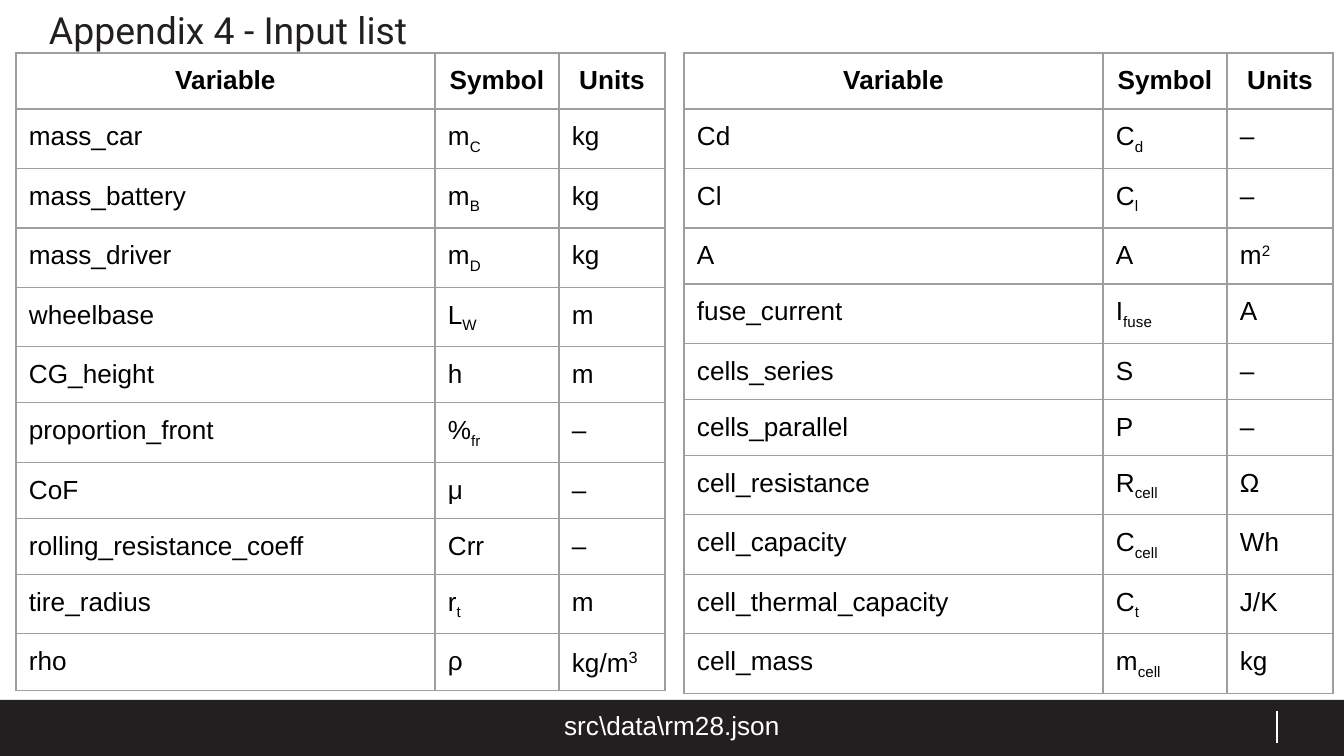
from lxml.etree import SubElement
from pptx import Presentation
from pptx.dml.color import RGBColor
from pptx.enum.shapes import MSO_CONNECTOR, MSO_SHAPE
from pptx.enum.text import MSO_ANCHOR, MSO_AUTO_SIZE, PP_ALIGN
from pptx.oxml.ns import qn
from pptx.util import Emu, Pt

SLIDE_WIDTH, SLIDE_HEIGHT = 1344, 756
EMU_PER_PX = 9144000 / SLIDE_WIDTH

BLACK = RGBColor(0x00, 0x00, 0x00)
WHITE = RGBColor(0xFF, 0xFF, 0xFF)
CHARCOAL = RGBColor(0x23, 0x1F, 0x20)
GRID_GRAY = RGBColor(0x9E, 0x9E, 0x9E)

HEADINGS = ("Variable", "Symbol", "Units")
COLUMN_WIDTHS = (419, 124, 106)
ROW_HEIGHT = 56
TABLE_TOP = 53
CELL_MARGIN = 13

# In symbols "_" starts a subscript; in units "^" starts a superscript.
VEHICLE_INPUTS = (
    ("mass_car", "m_C", "kg"),
    ("mass_battery", "m_B", "kg"),
    ("mass_driver", "m_D", "kg"),
    ("wheelbase", "L_W", "m"),
    ("CG_height", "h", "m"),
    ("proportion_front", "%_fr", "–"),
    ("CoF", "μ", "–"),
    ("rolling_resistance_coeff", "Crr", "–"),
    ("tire_radius", "r_t", "m"),
    ("rho", "ρ", "kg/m^3"),
)
AERO_AND_CELL_INPUTS = (
    ("Cd", "C_d", "–"),
    ("Cl", "C_l", "–"),
    ("A", "A", "m^2"),
    ("fuse_current", "I_fuse", "A"),
    ("cells_series", "S", "–"),
    ("cells_parallel", "P", "–"),
    ("cell_resistance", "R_cell", "Ω"),
    ("cell_capacity", "C_cell", "Wh"),
    ("cell_thermal_capacity", "C_t", "J/K"),
    ("cell_mass", "m_cell", "kg"),
)


def px(length):
    return Emu(round(length * EMU_PER_PX))


def set_margins(box, margin):
    box.margin_left = box.margin_right = px(margin)
    box.margin_top = box.margin_bottom = px(margin)


def style_run(run, size, color, font="Arial", bold=False):
    run.font.name = font
    run.font.size = Pt(size)
    run.font.bold = bold
    run.font.color.rgb = color


def add_title(slide, text):
    title = slide.shapes.title
    title.left, title.top, title.width, title.height = map(px, (40, 0, 649, 62))
    frame = title.text_frame
    frame.text = text
    frame.auto_size = MSO_AUTO_SIZE.NONE
    frame.vertical_anchor = MSO_ANCHOR.BOTTOM
    set_margins(frame, 9)
    paragraph = frame.paragraphs[0]
    paragraph.alignment = PP_ALIGN.LEFT
    paragraph.line_spacing = 0.9
    style_run(paragraph.runs[0], 20, CHARCOAL, "Roboto")


def add_footer_bar(slide):
    bar = slide.shapes.add_shape(
        MSO_SHAPE.RECTANGLE, 0, px(700), px(SLIDE_WIDTH), px(56))
    bar.shadow.inherit = False
    bar.fill.solid()
    bar.fill.fore_color.rgb = CHARCOAL
    bar.line.fill.background()

    divider = slide.shapes.add_connector(
        MSO_CONNECTOR.STRAIGHT, px(1277), px(711), px(1277), px(743))
    divider.line.color.rgb = WHITE
    divider.line.width = Pt(0.75)
    SubElement(divider.element.spPr, qn("a:effectLst"))


def add_footer_text(slide, text):
    frame = slide.shapes.add_textbox(
        0, px(696), px(SLIDE_WIDTH), px(60)).text_frame
    frame.word_wrap = True
    set_margins(frame, CELL_MARGIN)
    frame.text = text
    paragraph = frame.paragraphs[0]
    paragraph.alignment = PP_ALIGN.CENTER
    style_run(paragraph.runs[0], 14, WHITE)


def outline_cell(cell):
    properties = cell._tc.get_or_add_tcPr()
    for side in ("lnL", "lnR", "lnT", "lnB"):
        border = SubElement(properties, qn(f"a:{side}"), w=str(Pt(0.75)))
        fill = SubElement(border, qn("a:solidFill"))
        SubElement(fill, qn("a:srgbClr"), val=str(GRID_GRAY))


def fill_cell(cell, text, marker=None, baseline=0, heading=False):
    """Write text; the part after marker is raised or lowered by baseline."""
    outline_cell(cell)
    cell.fill.background()
    set_margins(cell, CELL_MARGIN)
    base, _, script = text.partition(marker) if marker else (text, "", "")
    paragraph = cell.text_frame.paragraphs[0]
    paragraph.text = base
    paragraph.alignment = PP_ALIGN.CENTER if heading else PP_ALIGN.LEFT
    if script:
        paragraph.add_run().text = script
        paragraph.runs[1].font._element.set("baseline", str(baseline))
    for run in paragraph.runs:
        style_run(run, 14, BLACK, bold=heading)


def add_input_table(slide, left, inputs):
    row_count = len(inputs) + 1
    table = slide.shapes.add_table(
        row_count, len(HEADINGS), px(left), px(TABLE_TOP),
        px(sum(COLUMN_WIDTHS)), px(row_count * ROW_HEIGHT)).table
    table.first_row = table.horz_banding = False
    for column, width in zip(table.columns, COLUMN_WIDTHS):
        column.width = px(width)
    for row in table.rows:
        row.height = px(ROW_HEIGHT)
    for index, heading in enumerate(HEADINGS):
        fill_cell(table.cell(0, index), heading, heading=True)
    for index, (variable, symbol, unit) in enumerate(inputs, start=1):
        fill_cell(table.cell(index, 0), variable)
        fill_cell(table.cell(index, 1), symbol, "_", -25000)
        fill_cell(table.cell(index, 2), unit, "^", 30000)
    return table


def main():
    presentation = Presentation()
    presentation.slide_width = px(SLIDE_WIDTH)
    presentation.slide_height = px(SLIDE_HEIGHT)
    slide = presentation.slides.add_slide(presentation.slide_layouts[5])

    add_footer_bar(slide)
    vehicle_table = add_input_table(slide, 16, VEHICLE_INPUTS)
    density_unit = vehicle_table.cell(len(VEHICLE_INPUTS), 2)
    density_unit.text_frame.paragraphs[0].runs[1].font.size = Pt(15)
    add_input_table(slide, 684, AERO_AND_CELL_INPUTS)
    add_footer_text(slide, r"src\data\rm28.json")
    add_title(slide, "Appendix 4 - Input list")
    presentation.save("out.pptx")


if __name__ == "__main__":
    main()
